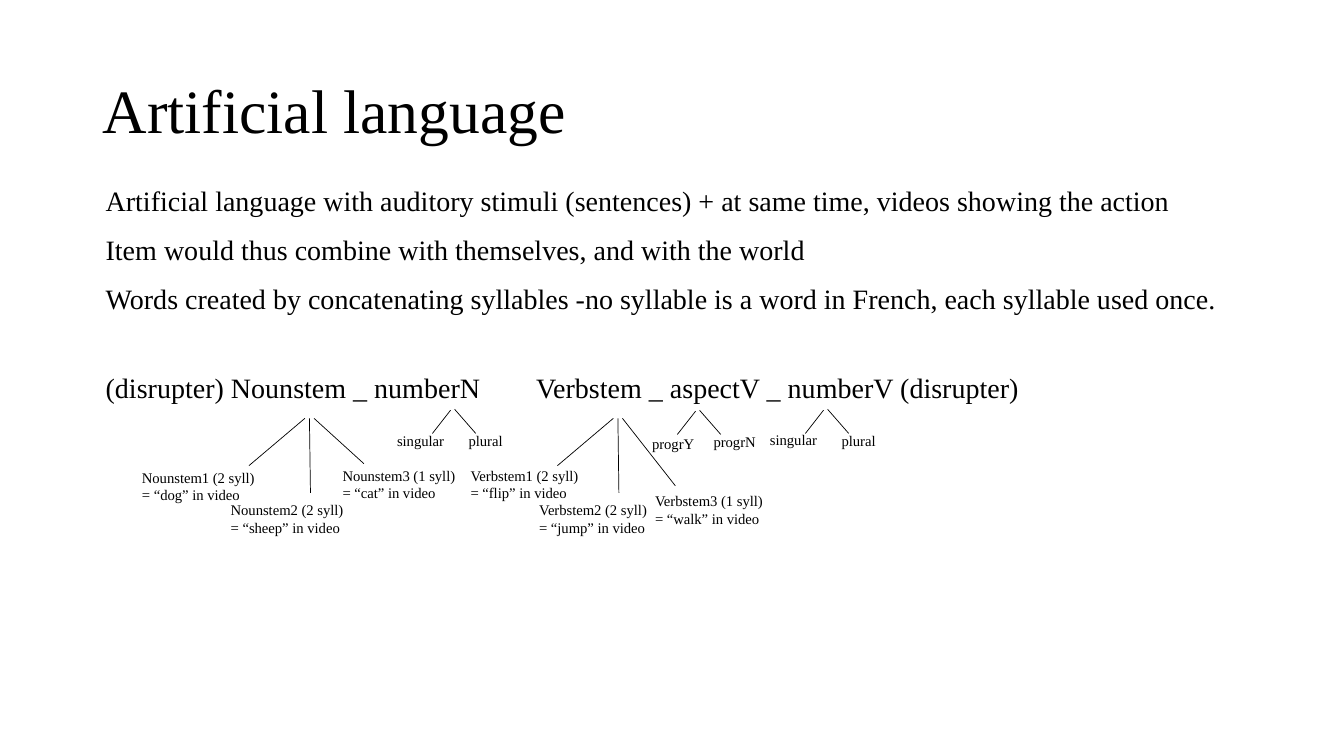
"""Builds the slide on the word structure of an artificial language."""
from lxml import etree
from pptx import Presentation, util as u
from pptx.dml.color import RGBColor
from pptx.enum import shapes as sh, text as tx
from pptx.oxml.ns import qn

COLS, ROWS = 133.33, 75
CELL = 0.1
INK = {"text": "000000", "line": "000000", "page": "FFFFFF"}
FACE = "Times New Roman"
CLAIMS = [
    "Artificial language with auditory stimuli (sentences) + at same time, videos showing the action",
    "Item would thus combine with themselves, and with the world",
    "Words created by concatenating syllables -no syllable is a word in French, each syllable used once.",
]
ORDER = "(disrupter) Nounstem _ numberN\tVerbstem _ aspectV _ numberV (disrupter)"
STEMS = [
    ("Noun", 30.7, [
        ("dog", 2, (24.7, 46.2), (13.1, 46)),
        ("sheep", 2, (30.8, 48.9), (21.9, 49.2)),
        ("cat", 1, (36.1, 46), (33, 45.8))]),
    ("Verb", 61.3, [
        ("flip", 2, (55.3, 46.2), (45.7, 45.8)),
        ("jump", 2, (61.4, 48.9), (52.5, 49.2)),
        ("walk", 1, (67, 48.2), (64, 48.3))]),
]
PAIRS = [
    (44.7, 40.7, [("singular", 38.4, 42.3, 6.8), ("plural", 45.5, 42.3, 5.5)]),
    (69, 40.8, [("progrY", 63.7, 42.6, 6.5), ("progrN", 69.8, 42.4, 7.2)]),
    (81.7, 40.7, [("singular", 75.4, 42.2, 7.4), ("plural", 82.5, 42.3, 5.5)]),
]


def cell(n):
    """Turn grid cells into a length."""
    return u.Inches(n * CELL)


def hue(name):
    """Look up a colour."""
    return RGBColor.from_string(INK[name])


def apply(obj, form):
    """Set each attribute in a dict of format values."""
    for key, val in form.items():
        setattr(obj, key, val)


def words(slide, box, rows, size, frame=None):
    """Add a text box; each row is a text and its paragraph format."""
    body = slide.shapes.add_textbox(*map(cell, box)).text_frame
    apply(body, {"word_wrap": True, **(frame or {})})
    for i, (line, form) in enumerate(rows):
        para = body.add_paragraph() if i else body.paragraphs[0]
        apply(para, form)
        run = para.add_run()
        run.text = line
        apply(run.font, {"name": FACE, "size": u.Pt(size)})
        run.font.color.rgb = hue("text")
    return body


def stop(para, at):
    """Give a paragraph one left tab stop."""
    tabs = etree.SubElement(para._p.get_or_add_pPr(), qn("a:tabLst"))
    etree.SubElement(tabs, qn("a:tab"), pos=str(cell(at)), algn="l")


def branch(slide, start, end):
    """Draw one thin line of a tree."""
    line = slide.shapes.add_connector(
        sh.MSO_CONNECTOR.STRAIGHT, *map(cell, (*start, *end)))
    line.line.width = u.Pt(0.5)
    line.line.color.rgb = hue("line")
    etree.SubElement(line._element.spPr, qn("a:effectLst"))


def stem(slide, kind, top, leaves):
    """Draw the three branches and labels of a stem."""
    for i, (gloss, count, end, spot) in enumerate(leaves):
        branch(slide, (top + (i - 1) * 0.45, 41.5), end)
        label = f"{kind}stem{i + 1} ({count} syll) = “{gloss}” in video"
        words(slide, (*spot, 13.4, 4.5), [(label, {})], 10.5)


def pair(slide, left, top, leaves):
    """Draw the two branches and labels of an affix."""
    branch(slide, (left, top), (left - 1.8, top + 2.3))
    branch(slide, (left + 0.4, top - 0.1), (left + 2.5, top + 2.3))
    for name, x, y, wide in leaves:
        words(slide, (x, y, wide, 2.8), [(name, {})], 10.5)


def main():
    """Build and save the slide."""
    deck = Presentation()
    apply(deck, {"slide_width": cell(COLS), "slide_height": cell(ROWS)})
    slide = deck.slides.add_slide(deck.slide_layouts[6])
    slide.background.fill.solid()
    slide.background.fill.fore_color.rgb = hue("page")
    words(slide, (9.2, 4, 115, 14.5),
          [("Artificial language", {"line_spacing": 0.9})], 44,
          {"vertical_anchor": tx.MSO_ANCHOR.MIDDLE})
    rows = [(claim, {"space_before": u.Pt(11 if i else 0)})
            for i, claim in enumerate(CLAIMS)]
    rows.append((ORDER, {"line_spacing": 0.9, "space_before": u.Pt(42)}))
    body = words(slide, (9.5, 17.7, 115, 47.6), rows, 20)
    stop(body.paragraphs[-1], 42.7)
    for item in STEMS:
        stem(slide, *item)
    for item in PAIRS:
        pair(slide, *item)
    deck.save("out.pptx")


if __name__ == "__main__":
    main()
